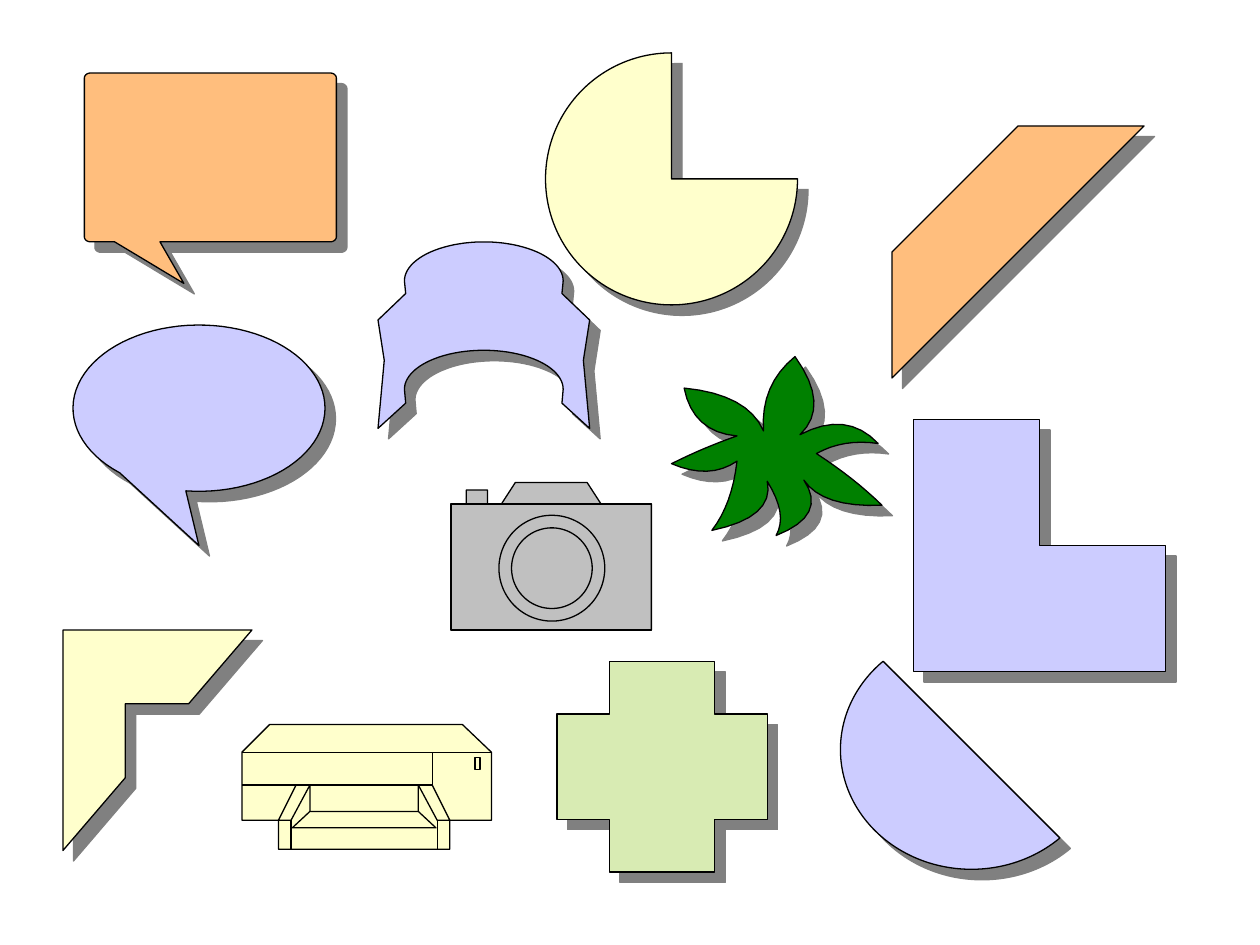
import math

from lxml import etree
from pptx import Presentation
from pptx.dml.color import RGBColor
from pptx.enum import shapes
from pptx.oxml.ns import qn
from pptx.util import Inches, Pt

Kind = shapes.MSO_SHAPE
LAVENDER, CREAM, ORANGE = "CCCCFF", "FFFFCC", "FFBE7D"
GRAY, GREEN, LIME = "C0C0C0", "008000", "D8EBB3"
BLACK, SHADOW = "000000", "808080"

# Each leaf: inner notch, middle of one side, tip, middle of the other side
LEAVES = [
    [(6.06, 3.42), (5.84, 3.19), (5.43, 3.08), (5.57, 3.35)],
    [(5.85, 3.46), (5.59, 3.56), (5.33, 3.68), (5.61, 3.74)],
    [(5.85, 3.66), (5.78, 3.97), (5.65, 4.21), (6.01, 4.06)],
    [(6.09, 3.82), (6.19, 4.06), (6.16, 4.25), (6.42, 4.06)],
    [(6.38, 3.81), (6.61, 3.97), (7, 4.01), (6.76, 3.8)],
    [(6.48, 3.6), (6.71, 3.52), (6.97, 3.52), (6.69, 3.37)],
    [(6.35, 3.45), (6.46, 3.18), (6.31, 2.83), (6.11, 3.09)],
]


def arc(x, y, radius_x, radius_y, start, end):
    """Points on an ellipse, with angles in degrees clockwise from the right."""
    steps = max(6, math.ceil(abs(end - start) / 4))
    angles = [math.radians(start + (end - start) * i / steps) for i in range(steps + 1)]
    return [(x + radius_x * math.cos(a), y + radius_y * math.sin(a)) for a in angles]


def bend(start, middle, end, steps=8):
    """Points on a parabola through three points, without the last one."""
    def blend(t, a, b, c):
        return a * (1 - t) * (1 - 2 * t) + b * 4 * t * (1 - t) + c * t * (2 * t - 1)
    return [tuple(blend(i / steps, *axis) for axis in zip(start, middle, end))
            for i in range(steps)]


def mirror(points, axis):
    return [(2 * axis - x, y) for x, y in points]


def rectangle(left, top, right, bottom):
    return [(left, top), (right, top), (right, bottom), (left, bottom), (left, top)]


def color(value):
    return RGBColor.from_string(value)


def format_shape(shape, fill, shadow=True):
    shape.fill.solid()
    shape.fill.fore_color.rgb = color(fill)
    shape.line.color.rgb = color(BLACK)
    shape.line.width = Pt(0.75)
    shape.shadow.inherit = False
    if shadow:
        effects = shape._element.spPr.find(qn("a:effectLst"))
        settings = {"blurRad": "0", "dist": str(Pt(8.5)), "dir": "2700000",
                    "algn": "ctr", "rotWithShape": "0"}
        outer = etree.SubElement(effects, qn("a:outerShdw"), settings)
        etree.SubElement(outer, qn("a:srgbClr"), val=SHADOW)


def add_preset(slide, kind, box, fill, adjustments):
    shape = slide.shapes.add_shape(kind, *[Inches(value) for value in box])
    for index, value in enumerate(adjustments):
        shape.adjustments[index] = value
    format_shape(shape, fill)


def split_details(shape):
    """Give each contour after the outline its own unfilled path."""
    outline = next(shape._element.iter(qn("a:path")))
    current = outline
    for command in list(outline)[1:]:
        if command.tag == qn("a:moveTo"):
            current = etree.SubElement(outline.getparent(), qn("a:path"),
                                       w=outline.get("w"), h=outline.get("h"), fill="none")
        if current is not outline:
            current.append(command)


def add_outline(slide, points, fill, details=(), shadow=True):
    points, *details = [[(Inches(x), Inches(y)) for x, y in contour]
                        for contour in (points, *details)]
    builder = slide.shapes.build_freeform(*points[0])
    builder.add_line_segments(points[1:], close=True)
    for contour in details:
        builder.move_to(*contour[0])
        builder.add_line_segments(contour[1:], close=False)
    shape = builder.convert_to_shape()
    split_details(shape)
    format_shape(shape, fill, shadow)


def add_camera(slide):
    left, top, right, bottom = 3.58, 4, 5.17, 5
    button = rectangle(3.7, 3.89, 3.87, top)[:4]
    finder = [(3.98, top), (4.09, 3.83), (4.66, 3.83), (4.77, top)]
    outline = [(left, bottom), (left, top), button[3], *button[:3], *finder,
               (right, top), (right, bottom)]
    rings = [arc(4.38, 4.51, radius, radius, 0, 360) for radius in (0.42, 0.32)]
    add_outline(slide, outline, GRAY, [rectangle(left, top, right, bottom), *rings],
                shadow=False)


def add_plant(slide):
    points = []
    for leaf, following in zip(LEAVES, LEAVES[1:] + LEAVES[:1]):
        notch, side, tip, other_side = leaf
        points += bend(notch, side, tip) + bend(tip, other_side, following[0])
    add_outline(slide, points, GREEN)


def add_printer(slide):
    left, right, center = 1.92, 3.9, 2.89
    top, lid, slot, base, bottom = 5.75, 5.97, 6.23, 6.51, 6.74
    foot = [(2.21, bottom), (2.21, base), (left, base), (left, lid)]
    outline = [(2.14, top), (3.67, top), (right, lid), (right, base),
               *mirror(foot[1::-1], center), *foot]
    # One side of the paper tray, then the same on the other side
    arm = [(2.46, 6.44), (2.46, slot), (2.31, base), (2.21, base), (2.35, slot)]
    post = [(2.31, base), (2.31, bottom)]
    front = [arm[0], (2.32, 6.57)]
    details = [arm, post, mirror(arm, center), mirror(post, center),
               front + mirror(front[::-1], center) + front[:1],
               [(left, lid), (right, lid)],
               [(3.43, lid), (3.43, slot), (left, slot)],
               rectangle(3.77, 6.01, 3.81, 6.11)]
    add_outline(slide, outline, CREAM, details, shadow=False)


def add_visor(slide):
    center = 3.84
    side = [(3.22, 2.33), (3, 2.54), (3.05, 2.86), (3, 3.4), (3.22, 3.2)]
    outline = [*arc(center, 2.23, 0.63, 0.31, 0, -180), *side,
               *arc(center, 3.09, 0.63, 0.31, 180, 360), *mirror(side[::-1], center)]
    add_outline(slide, outline, LAVENDER)


def add_callouts(slide):
    # Oval balloon
    add_outline(slide, [(1.58, 4.33), *arc(1.58, 3.24, 1, 0.66, 96, -231)], LAVENDER)
    # Rounded box, clockwise from its top left corner
    corners = [(0.72, 0.62), (2.62, 0.62), (2.62, 1.88), (0.72, 1.88)]
    top_left, top_right, bottom_right, bottom_left = [
        arc(x, y, 0.05, 0.04, 180 + 90 * i, 270 + 90 * i)
        for i, (x, y) in enumerate(corners)]
    tail = [(1.27, 1.92), (1.46, 2.25), (0.91, 1.92)]
    add_outline(slide, top_left + top_right + bottom_right + tail + bottom_left, ORANGE)


def main():
    presentation = Presentation()
    presentation.slide_width, presentation.slide_height = Inches(10), Inches(7.5)
    slide = presentation.slides.add_slide(presentation.slide_layouts[6])

    # Drawn objects
    add_camera(slide)
    add_plant(slide)
    add_printer(slide)
    add_visor(slide)

    # Geometric shapes; an angle of 0.6 stands for one degree
    for preset in [
        (Kind.CHORD, (6.67, 5, 2.08, 1.9), LAVENDER, (27, 135)),
        (Kind.CROSS, (4.42, 5.25, 1.67, 1.67), LIME, (0.25,)),
        (Kind.HALF_FRAME, (0.5, 5, 1.5, 1.75), CREAM, (0.39, 0.33)),
        (Kind.CORNER, (7.25, 3.33, 2, 2), LAVENDER, (0.5, 0.5)),
    ]:
        add_preset(slide, *preset)

    add_callouts(slide)
    add_preset(slide, Kind.PIE, (4.33, 0.42, 2, 2), CREAM, (0, 162))
    add_preset(slide, Kind.DIAGONAL_STRIPE, (7.08, 1, 2, 2), ORANGE, (0.5,))

    presentation.save("out.pptx")


if __name__ == "__main__":
    main()
